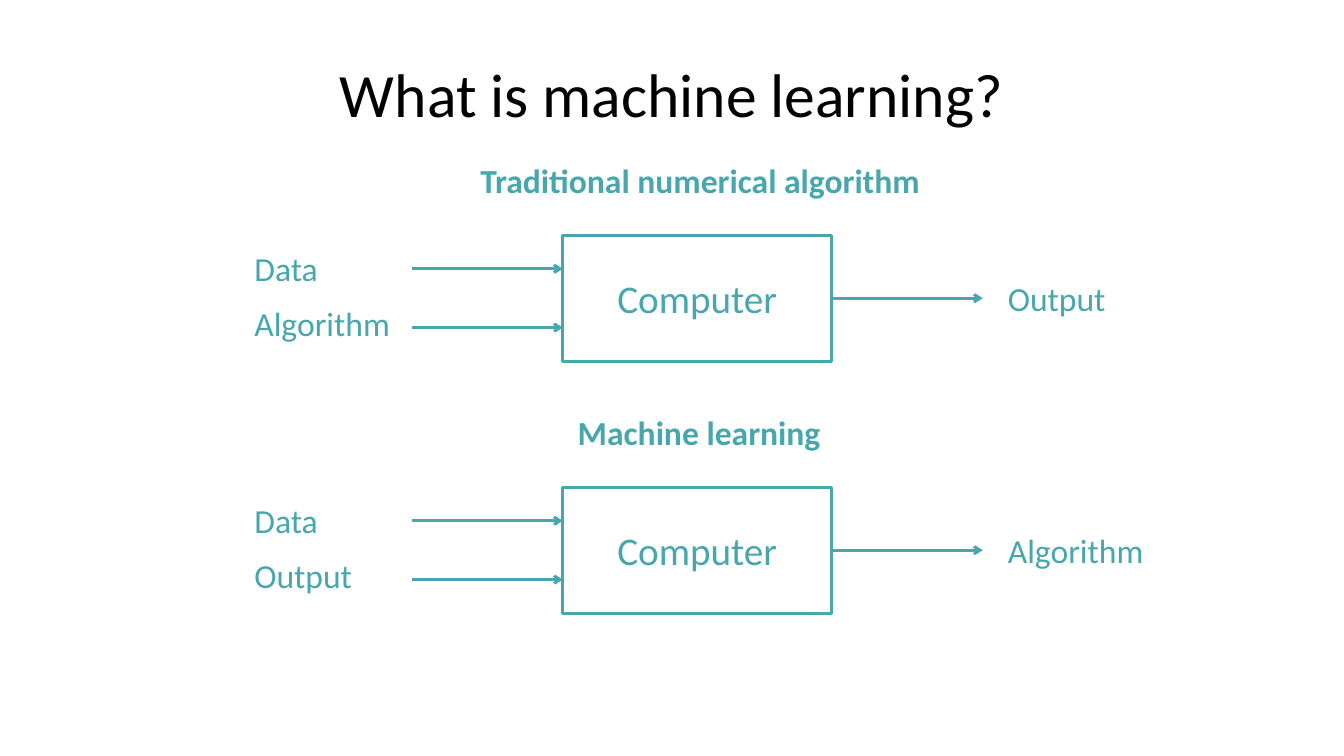
import pptx
import pptx.dml.color
import pptx.enum.shapes
import pptx.enum.text
import pptx.oxml
import pptx.oxml.ns
import pptx.util

TEAL = "48A6AD"
COLS, ROWS = 160, 90
PROCESS_STEP = 30
LABEL_WIDTHS = {"Data": 10.1, "Algorithm": 18.7, "Output": 14.2}


def rgb(value):
    return pptx.dml.color.RGBColor.from_string(value)


def write(tf, text, size=24, color=TEAL, bold=False, align="LEFT", anchor="TOP", wrap=True):
    tf.word_wrap = wrap
    tf.vertical_anchor = getattr(pptx.enum.text.MSO_ANCHOR, anchor)
    p = tf.paragraphs[0]
    p.alignment = getattr(pptx.enum.text.PP_ALIGN, align)
    r = p.add_run()
    r.text = text
    r.font.name = "Calibri"
    r.font.size = pptx.util.Pt(size)
    r.font.bold = bold
    r.font.color.rgb = rgb(color)


class Deck:
    """Hold the presentation, its grid and the current slide."""

    def __init__(self):
        self.prs = pptx.Presentation()
        self.prs.slide_width = pptx.util.Inches(13.33)
        self.prs.slide_height = pptx.util.Inches(7.5)
        self.s = self.prs.slides.add_slide(self.prs.slide_layouts[5])

    def grid(self, col, row):
        return (int(self.prs.slide_width * col / COLS),
                int(self.prs.slide_height * row / ROWS))

    def title(self, text, col, row, width, height):
        sp = self.s.shapes.title
        sp.left, sp.top = self.grid(col, row)
        sp.width, sp.height = self.grid(width, height)
        write(sp.text_frame, text, size=44, color="000000", align="CENTER", anchor="MIDDLE")

    def label(self, text, col, row, width, bold=False):
        sp = self.s.shapes.add_textbox(*self.grid(col, row), *self.grid(width, 6))
        write(sp.text_frame, text, bold=bold, wrap=False)
        sp.text_frame.auto_size = pptx.enum.text.MSO_AUTO_SIZE.SHAPE_TO_FIT_TEXT

    def box(self, text, col, row, width, height):
        sp = self.s.shapes.add_shape(pptx.enum.shapes.MSO_SHAPE.RECTANGLE,
                                     *self.grid(col, row), *self.grid(width, height))
        sp.shadow.inherit = False
        sp.fill.background()
        self.stroke(sp.line)
        write(sp.text_frame, text, size=28, align="CENTER", anchor="MIDDLE")

    def arrow(self, col, row, length=18):
        sp = self.s.shapes.add_connector(pptx.enum.shapes.MSO_CONNECTOR.STRAIGHT,
                                         *self.grid(col, row), *self.grid(col + length, row))
        self.stroke(sp.line)
        ln = sp.line._get_or_add_ln()
        ln.append(pptx.oxml.parse_xml(
            f'<a:tailEnd {pptx.oxml.ns.nsdecls("a")} type="arrow"/>'))
        sp._element.spPr.append(pptx.oxml.parse_xml(
            f'<a:effectLst {pptx.oxml.ns.nsdecls("a")}/>'))

    def stroke(self, line):
        line.color.rgb = rgb(TEAL)
        line.width = pptx.util.Pt(2)

    def process(self, top, inputs, output):
        self.box("Computer", 67, top, 32, 15)
        self.arrow(99, top + 7.5)
        for i, text in enumerate(inputs):
            self.arrow(49, top + 4 + 7 * i)
            self.label(text, 29.1, top + 0.9 + 6.6 * i, LABEL_WIDTHS[text])
        self.label(output, 118.8, top + 4.5, LABEL_WIDTHS[output])


def main():
    deck = Deck()
    deck.title("What is machine learning?", 8, 3.6, 144, 15)
    processes = [
        ("Traditional numerical algorithm", 56, 55.3, ("Data", "Algorithm"), "Output"),
        ("Machine learning", 67.6, 31.5, ("Data", "Output"), "Algorithm"),
    ]
    for i, (heading, col, width, inputs, output) in enumerate(processes):
        top = 28 + PROCESS_STEP * i
        deck.process(top, inputs, output)
        deck.label(heading, col, top - 9.6, width, bold=True)
    deck.prs.save("out.pptx")


if __name__ == "__main__":
    main()
